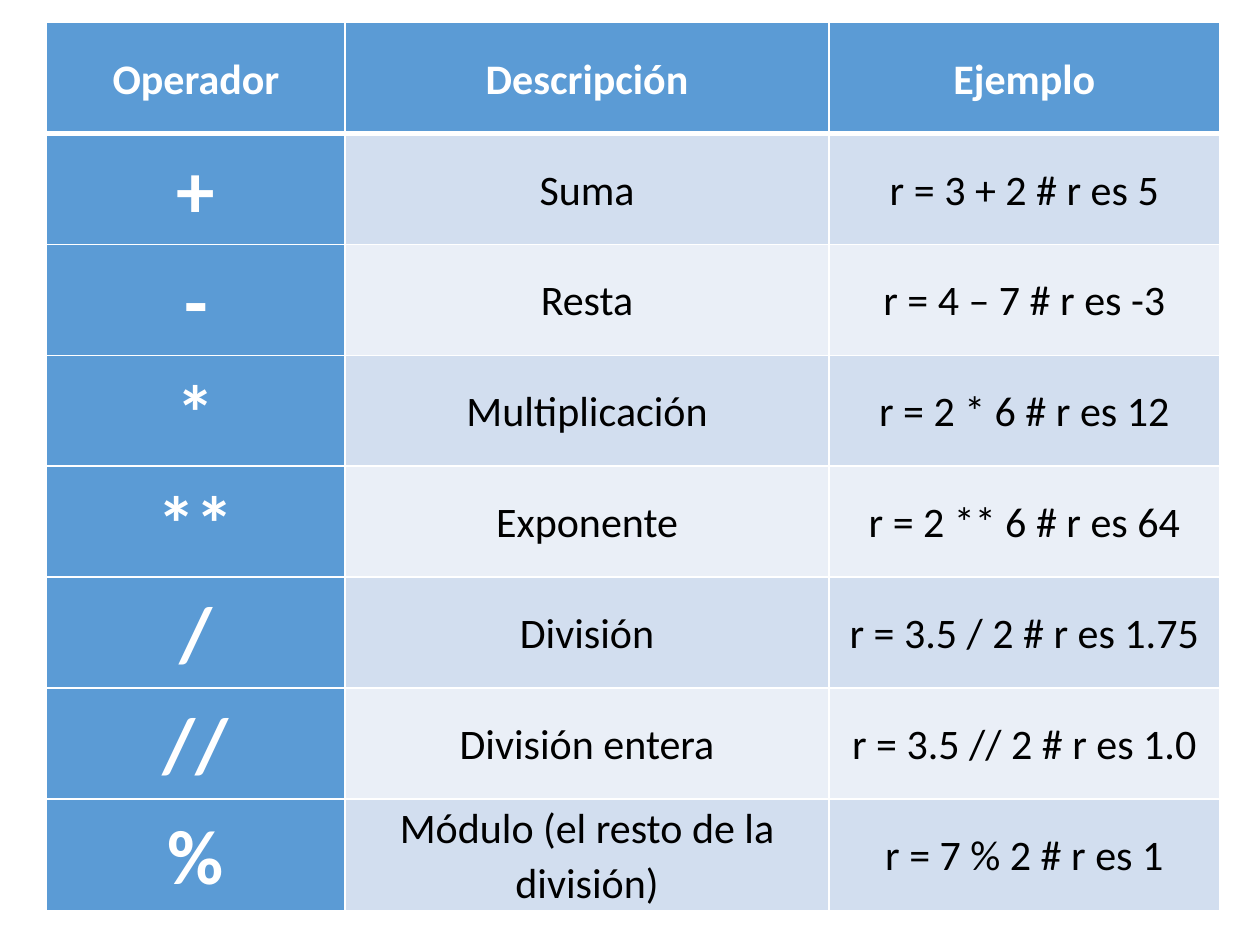
from lxml.etree import SubElement
from pptx import Presentation
from pptx.dml.color import RGBColor
from pptx.enum.text import MSO_ANCHOR, PP_ALIGN
from pptx.oxml.ns import qn
from pptx.util import Inches, Pt

WHITE = RGBColor(0xFF, 0xFF, 0xFF)
BLACK = RGBColor(0x00, 0x00, 0x00)
BLUE = RGBColor(0x5B, 0x9B, 0xD5)
DARK_BAND = RGBColor(0xD2, 0xDE, 0xEF)
LIGHT_BAND = RGBColor(0xEA, 0xEF, 0xF7)

COLUMN_WIDTHS = (2.37, 3.84, 3.1)
ROW_HEIGHT = 0.88
CELL_MARGIN = Inches(0.01)

OPERATORS = [
    ("Operador", "Descripción", "Ejemplo"),
    ("+", "Suma", "r = 3 + 2 # r es 5"),
    ("-", "Resta", "r = 4 – 7 # r es -3"),
    ("*", "Multiplicación", "r = 2 * 6 # r es 12"),
    ("**", "Exponente", "r = 2 ** 6 # r es 64"),
    ("/", "División", "r = 3.5 / 2 # r es 1.75"),
    ("//", "División entera", "r = 3.5 // 2 # r es 1.0"),
    ("%", "Módulo (el resto de la división)", "r = 7 % 2 # r es 1"),
]


def add_borders(cell, top, bottom):
    properties = cell._tc.get_or_add_tcPr()
    widths = {"a:lnL": 1, "a:lnR": 1, "a:lnT": top, "a:lnB": bottom}
    for tag, width in widths.items():
        line = SubElement(properties, qn(tag), w=str(Pt(width)))
        fill = SubElement(line, qn("a:solidFill"))
        SubElement(fill, qn("a:srgbClr"), val=str(WHITE))


def fill_cell(cell, color):
    cell.fill.solid()
    cell.fill.fore_color.rgb = color


def write_cell(cell, text, size, color, bold):
    cell.vertical_anchor = MSO_ANCHOR.MIDDLE
    cell.margin_left = cell.margin_right = CELL_MARGIN
    cell.margin_top = cell.margin_bottom = CELL_MARGIN
    paragraph = cell.text_frame.paragraphs[0]
    paragraph.alignment = PP_ALIGN.CENTER
    paragraph.line_spacing = 1.07
    span = paragraph.add_run()
    span.text = text
    span.font.name = "Calibri"
    span.font.size = Pt(size)
    span.font.bold = bold
    span.font.color.rgb = color


def format_cell(cell, text, row, column):
    is_heading = row == 0 or column == 0
    band = DARK_BAND if row % 2 else LIGHT_BAND
    size = 44 if column == 0 and row > 0 else 24
    add_borders(cell, 3 if row == 1 else 1, 3 if row == 0 else 1)
    fill_cell(cell, BLUE if is_heading else band)
    write_cell(cell, text, size, WHITE if is_heading else BLACK, is_heading)


def add_operator_table(page):
    frame = page.shapes.add_table(
        len(OPERATORS), len(COLUMN_WIDTHS), Inches(0.37), Inches(0.18),
        Inches(sum(COLUMN_WIDTHS)), Inches(ROW_HEIGHT * len(OPERATORS)))
    table = frame.table
    table.first_col = True
    for column, width in zip(table.columns, COLUMN_WIDTHS):
        column.width = Inches(width)
    for row, texts in enumerate(OPERATORS):
        table.rows[row].height = Inches(ROW_HEIGHT)
        for column, text in enumerate(texts):
            format_cell(table.cell(row, column), text, row, column)


def main():
    deck = Presentation()
    deck.slide_width = Inches(10)
    deck.slide_height = Inches(7.5)
    page = deck.slides.add_slide(deck.slide_layouts[6])
    add_operator_table(page)
    deck.save("out.pptx")


if __name__ == "__main__":
    main()
